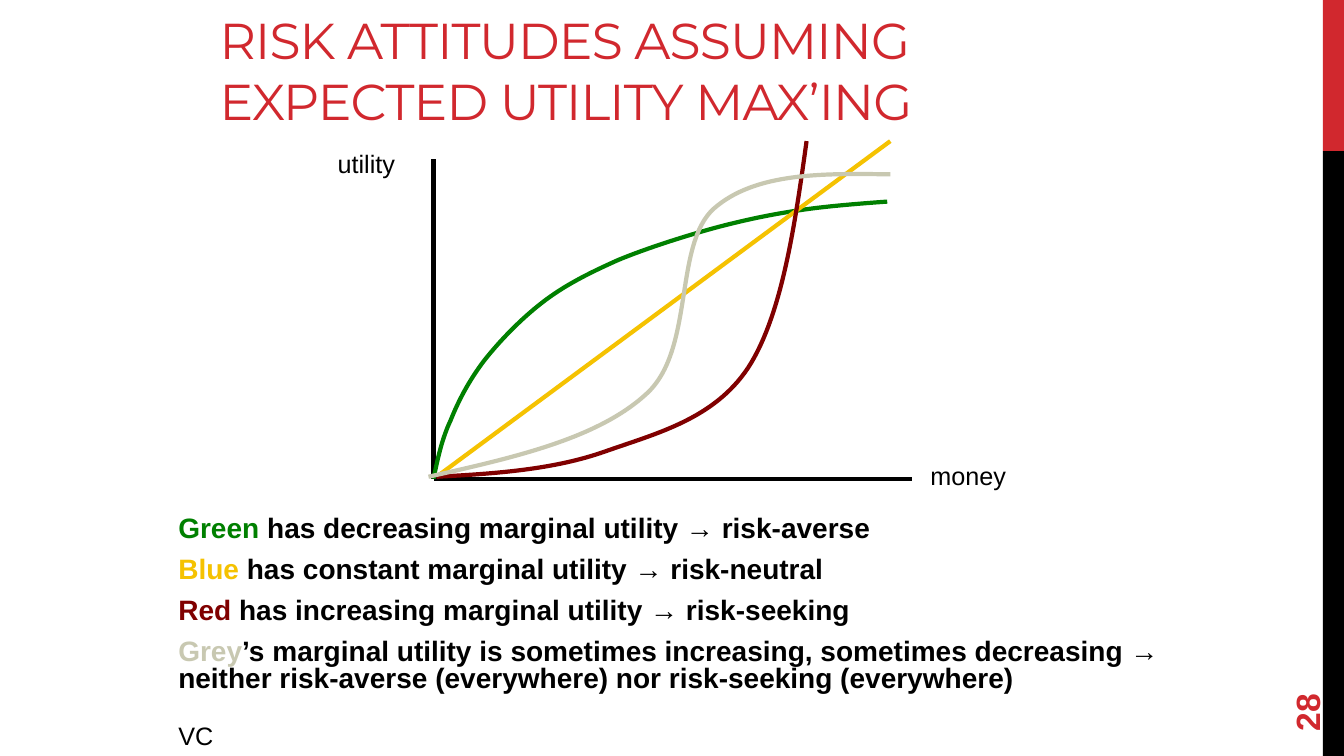
from lxml import etree
from pptx import Presentation
from pptx import util as u
from pptx.dml.color import RGBColor
from pptx.enum import shapes, text
from pptx.oxml.ns import qn

RED = RGBColor(0xD1, 0x28, 0x2E)
BLACK = RGBColor(0, 0, 0)
GREEN = RGBColor(0, 0x80, 0)
YELLOW = RGBColor(0xF5, 0xC2, 0x01)
MAROON = RGBColor(0x80, 0, 0)
GREY = RGBColor(0xC8, 0xC8, 0xB1)


class Slide:
    BODY_FONT = "Arial"
    TITLE_FONT = "Montserrat"
    LINE_WIDTH = u.Pt(3)

    def __init__(self, presentation):
        self.shapes = presentation.slides.add_slide(presentation.slide_layouts[6]).shapes

    def bar(self, top, height, color):
        bar = self.shapes.add_shape(shapes.MSO_SHAPE.RECTANGLE, u.Inches(13.12),
                                    u.Inches(top), u.Inches(0.21), u.Inches(height))
        bar.shadow.inherit = False
        bar.fill.solid()
        bar.fill.fore_color.rgb = color
        bar.line.fill.background()

    def line(self, start, end, color):
        line = self.shapes.add_connector(shapes.MSO_CONNECTOR.STRAIGHT,
                                         *map(u.Inches, start + end))
        line.line.color.rgb = color
        line.line.width = self.LINE_WIDTH
        etree.SubElement(line._element.spPr, qn("a:effectLst"))

    def curve(self, start, segments, color):
        """Chain of cubic segments, each (control, control, end)."""
        builder = self.shapes.build_freeform(*map(u.Inches, start))
        builder.add_line_segments([tuple(map(u.Inches, end)) for _, _, end in segments],
                                  close=False)
        curve = builder.convert_to_shape()
        # Turn each straight step into a cubic one
        steps = list(curve._element.iter(qn("a:lnTo")))
        for step, segment in zip(steps, segments):
            cubic = etree.Element(qn("a:cubicBezTo"))
            for x, y in segment:
                etree.SubElement(cubic, qn("a:pt"), x=str(u.Inches(x) - curve.left),
                                 y=str(u.Inches(y) - curve.top))
            step.getparent().replace(step, cubic)
        curve.shadow.inherit = False
        curve.fill.background()
        curve.line.color.rgb = color
        curve.line.width = self.LINE_WIDTH

    def text_box(self, box, paragraphs, size, bold=False, font=BODY_FONT,
                 wrap=True, anchor=text.MSO_ANCHOR.TOP):
        """Each paragraph is a list of (wording, color) runs."""
        holder = self.shapes.add_textbox(*map(u.Inches, box))
        frame = holder.text_frame
        frame.word_wrap = wrap
        frame.vertical_anchor = anchor
        for index, runs in enumerate(paragraphs):
            paragraph = frame.add_paragraph() if index else frame.paragraphs[0]
            for wording, color in runs:
                run = paragraph.add_run()
                run.text = wording
                run.font.name = font
                run.font.size = u.Pt(size)
                run.font.bold = bold
                run.font.color.rgb = color
        return holder

    def title(self, box, wording):
        title = self.text_box(box, [[(wording, RED)]], 36, font=self.TITLE_FONT,
                              anchor=text.MSO_ANCHOR.BOTTOM)
        for run in title.text_frame.paragraphs[0].runs:
            run.font._element.set("spc", "-60")

    def label(self, box, wording):
        self.text_box(box, [[(wording, BLACK)]], 18, wrap=False)

    def legend(self, box, entries):
        paragraphs = [[(name, color), (meaning, BLACK)] for name, color, meaning in entries]
        legend = self.text_box(box, paragraphs, 20, bold=True)
        for index, paragraph in enumerate(legend.text_frame.paragraphs):
            paragraph.line_spacing = 0.8
            paragraph.space_before = u.Pt(4 if index else 0)
            paragraph.space_after = u.Pt(6)

    def page_number(self, box, number):
        page = self.text_box(box, [[(number, RED)]], 24, bold=True,
                             anchor=text.MSO_ANCHOR.MIDDLE)
        page.rotation = 270


def main():
    presentation = Presentation()
    presentation.slide_width = u.Inches(13.33)
    presentation.slide_height = u.Inches(7.5)
    slide = Slide(presentation)

    # Side bars and title
    slide.bar(0, 1.5, RED)
    slide.bar(1.5, 6, BLACK)
    slide.title((2.08, 0.26, 9, 1.08), "RISK ATTITUDES ASSUMING EXPECTED UTILITY MAX’ING")

    # Axes
    origin = (4.3, 4.75)
    slide.line((4.3, 1.58), origin, BLACK)
    slide.line(origin, (9.05, 4.75), BLACK)
    slide.label((3.25, 1.42, 0.77, 0.4), "utility")
    slide.label((9.13, 4.52, 0.95, 0.4), "money")

    # Utility curves
    slide.curve(origin, [
        ((4.34, 4.56), (4.38, 4.36), (4.47, 4.17)),
        ((4.55, 3.97), (4.65, 3.78), (4.8, 3.58)),
        ((4.95, 3.39), (5.16, 3.17), (5.38, 3)),
        ((5.6, 2.83), (5.84, 2.71), (6.13, 2.58)),
        ((6.42, 2.46), (6.83, 2.33), (7.13, 2.25)),
        ((7.44, 2.17), (7.69, 2.12), (7.97, 2.08)),
        ((8.24, 2.04), (8.66, 2.01), (8.8, 2)),
    ], GREEN)
    slide.line((4.33, 4.73), (8.83, 1.4), YELLOW)
    slide.curve((4.33, 4.73), [
        ((4.91, 4.7), (5.49, 4.66), (6, 4.48)),
        ((6.51, 4.3), (7.08, 4.16), (7.42, 3.65)),
        ((7.75, 3.14), (7.88, 2.27), (8, 1.4)),
    ], MAROON)
    slide.curve((4.25, 4.73), [
        ((5.1, 4.54), (5.94, 4.35), (6.42, 3.9)),
        ((6.89, 3.46), (6.68, 2.43), (7.08, 2.07)),
        ((7.49, 1.71), (8.16, 1.72), (8.83, 1.73)),
    ], GREY)

    # Reading of each curve
    slide.legend((1.67, 5.08, 10, 2.42), [
        ("Green", GREEN, " has decreasing marginal utility → risk-averse"),
        ("Blue", YELLOW, " has constant marginal utility → risk-neutral"),
        ("Red", MAROON, " has increasing marginal utility → risk-seeking"),
        ("Grey", GREY, "’s marginal utility is sometimes increasing, sometimes decreasing → "
                       "neither risk-averse (everywhere) nor risk-seeking (everywhere)"),
    ])

    # Footer
    slide.page_number((12.24, 6.37, 1.44, 0.53), "28")
    slide.label((1.67, 7.1, 0.56, 0.4), "VC")

    presentation.save("out.pptx")


if __name__ == "__main__":
    main()
